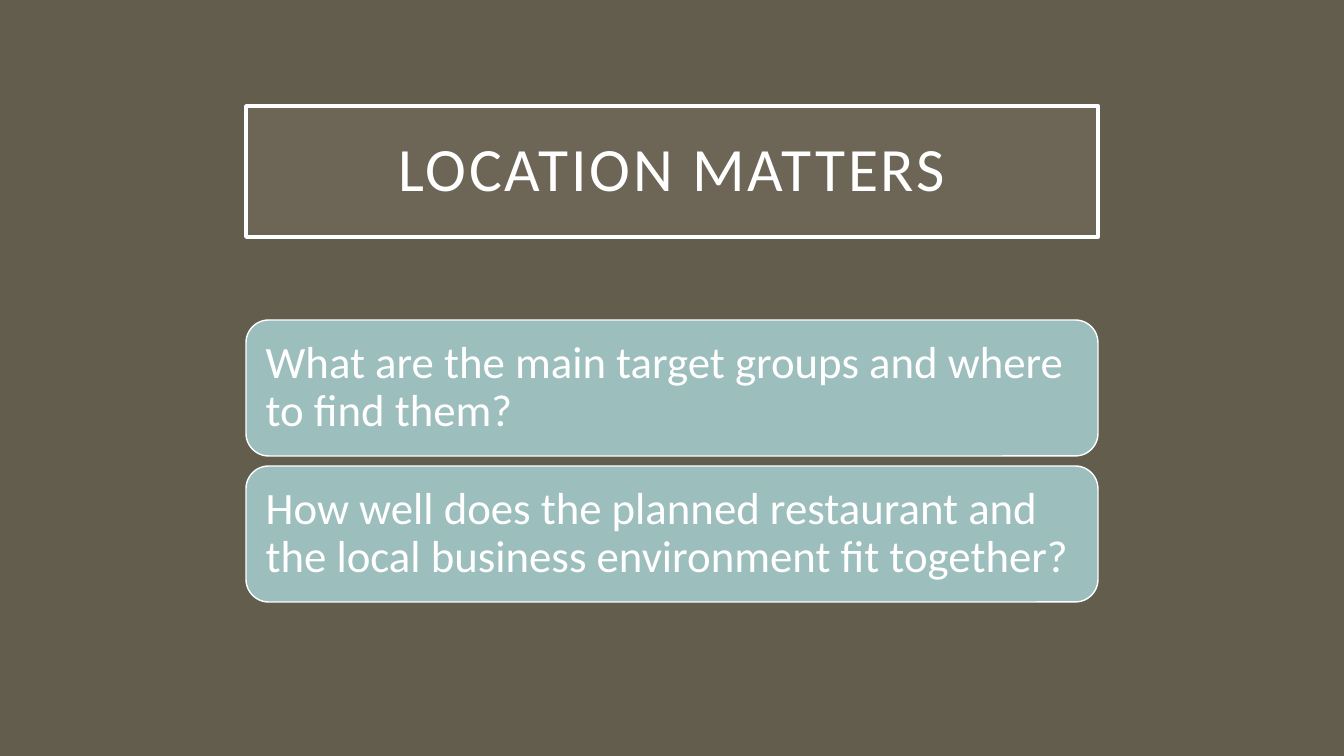
from pptx import Presentation
from pptx.dml.color import RGBColor
from pptx.enum.shapes import MSO_SHAPE
from pptx.enum.text import MSO_ANCHOR, PP_ALIGN
from pptx.oxml.ns import qn
from pptx.util import Emu, Pt
from lxml import etree

RECT = MSO_SHAPE.RECTANGLE
ROUNDED = MSO_SHAPE.ROUNDED_RECTANGLE
MIDDLE = MSO_ANCHOR.MIDDLE
LEFT, CENTER = PP_ALIGN.LEFT, PP_ALIGN.CENTER

BROWN = RGBColor(0x63, 0x5D, 0x4D)
TAUPE = RGBColor(0xA7, 0xA0, 0x8E)
TEAL = RGBColor(0x9C, 0xBE, 0xBD)
WHITE = RGBColor(0xFF, 0xFF, 0xFF)

QUESTIONS = [
    "What are the main target groups and where to find them?",
    "How well does the planned restaurant and the local business environment fit together?",
]
COLUMN_LEFT, COLUMN_WIDTH = 246, 852
TITLE_TOP, TITLE_HEIGHT = 106, 131
QUESTION_TOP, QUESTION_HEIGHT, QUESTION_GAP = 320, 136, 10


def px(length):
    return Emu(round(length * 12192000 / 1344))


def add_panel(kind, top, height, fill, border, inset, text, size, align):
    panel = slide.shapes.add_shape(
        kind, px(COLUMN_LEFT), px(top), px(COLUMN_WIDTH), px(height))
    panel.shadow.inherit = False
    panel.fill.solid()
    panel.fill.fore_color.rgb = fill
    panel.line.color.rgb = WHITE
    panel.line.width = Pt(border)
    frame = panel.text_frame
    frame.word_wrap = True
    frame.vertical_anchor = MIDDLE
    frame.margin_left = frame.margin_right = px(inset)
    frame.margin_top = frame.margin_bottom = px(inset)
    frame.text = text
    paragraph = frame.paragraphs[0]
    paragraph.alignment = align
    paragraph.line_spacing = 0.9
    font = paragraph.runs[0].font
    font.name = "Calibri"
    font.size = Pt(size)
    font.color.rgb = WHITE
    return panel


prs = Presentation()
prs.slide_width, prs.slide_height = px(1344), px(756)
slide = prs.slides.add_slide(prs.slide_layouts[6])
slide.background.fill.solid()
slide.background.fill.fore_color.rgb = BROWN

title = add_panel(RECT, TITLE_TOP, TITLE_HEIGHT, TAUPE, 2.5, 20,
                  "LOCATION MATTERS", 44, CENTER)
title_color = title._element.spPr.find(qn("a:solidFill")).find(qn("a:srgbClr"))
etree.SubElement(title_color, qn("a:alpha")).set("val", "15000")
title.text_frame.paragraphs[0].runs[0].font._element.set("spc", "200")

for row, question in enumerate(QUESTIONS):
    top = QUESTION_TOP + row * (QUESTION_HEIGHT + QUESTION_GAP)
    add_panel(ROUNDED, top, QUESTION_HEIGHT, TEAL, 1, 13, question, 32, LEFT)

prs.save("out.pptx")
